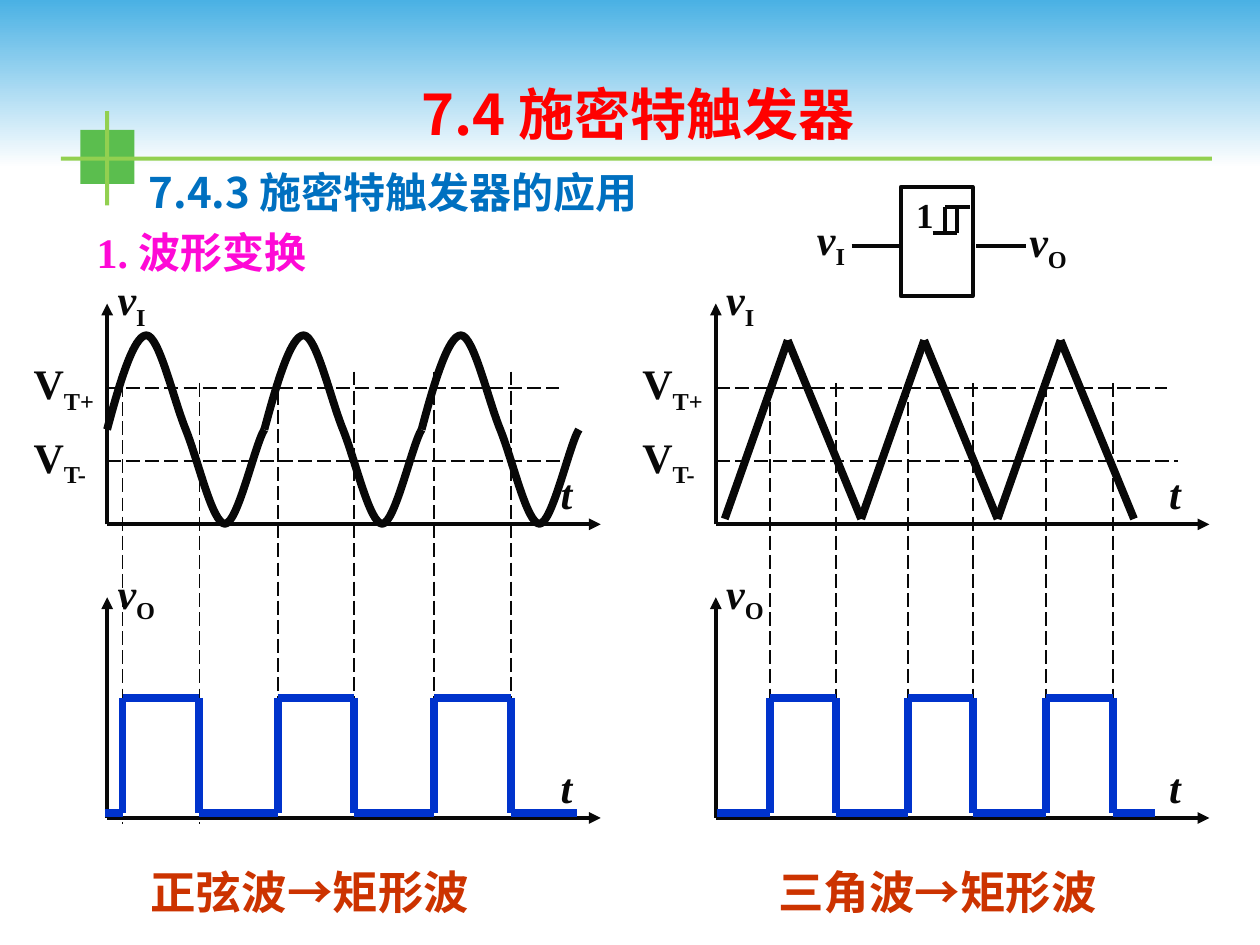
from dataclasses import dataclass
from itertools import pairwise

from lxml.etree import SubElement
from pptx import Presentation
from pptx.dml.color import RGBColor
from pptx.enum.dml import MSO_LINE
from pptx.enum.shapes import MSO_CONNECTOR as Connector, MSO_SHAPE as Shape
from pptx.enum.text import MSO_ANCHOR as Anchor, MSO_AUTO_SIZE as AutoSize, PP_ALIGN as Align
from pptx.oxml.ns import qn
from pptx.util import Cm, Pt


@dataclass(frozen=True)
class Theme:
    ink: str = "080808"
    pulse: str = "0033CC"
    sky: str = "4AB1E4"
    white: str = "FFFFFF"
    square: str = "5BBE4E"
    rule: str = "92D050"
    chapter: str = "FF0000"
    section: str = "0070C0"
    topic: str = "FE09D6"
    caption: str = "CC3300"
    serif: str = "Times New Roman"
    sans: str = "Noto Sans CJK SC"
    chapter_size: int = 32
    body_size: int = 24
    caption_size: int = 26
    gate_size: int = 20
    thin: float = 1
    medium: float = 2.25
    thick: float = 4.5


THEME = Theme()
LEFT_X, RIGHT_X = 2.16, 14.43
INPUT_BASE, OUTPUT_BASE = 10.57, 16.49
AXIS_WIDTH, AXIS_HEIGHT = 9.95, 4.45
PULSE_HIGH, PULSE_LOW = 14.07, 16.39
THRESHOLDS = (("T+", 7.82, 9.1), ("T-", 9.3, 9.32))

# One cycle as four cubic curves: (share of the period, share of the amplitude)
SINE_CYCLE = [
    (0, 0), (0.08, 0.5), (0.17, 1), (0.25, 1),
    (0.33, 1), (0.42, 0.33), (0.5, 0),
    (0.58, -0.33), (0.67, -1), (0.75, -1),
    (0.83, -1), (0.94, -0.16), (1, 0),
]


def rgb(color):
    return RGBColor.from_string(color)


def style_line(line, width, color=THEME.ink):
    line.color.rgb = rgb(color)
    line.width = Pt(width)


def add_stroke(slide, start, end, width=THEME.medium, color=THEME.ink, dashed=False, arrow=False):
    stroke = slide.shapes.add_connector(Connector.STRAIGHT, *map(Cm, (*start, *end)))
    style_line(stroke.line, width, color)
    if dashed:
        stroke.line.dash_style = MSO_LINE.LONG_DASH
    properties = stroke._element.spPr
    if arrow:
        SubElement(properties.find(qn("a:ln")), qn("a:tailEnd"), type="triangle")
    SubElement(properties, qn("a:effectLst"))


def add_path(slide, points, **style):
    """Join successive points with straight strokes."""
    for start, end in pairwise(points):
        add_stroke(slide, start, end, **style)


def add_block(slide, box, color=None):
    block = slide.shapes.add_shape(Shape.RECTANGLE, *map(Cm, box))
    block.shadow.inherit = False
    block.line.fill.background()
    if color:
        block.fill.solid()
        block.fill.fore_color.rgb = rgb(color)
    return block


def add_text(slide, box, text, size, color, font=THEME.serif, sub="", italic=False,
             wrap=False, align=Align.LEFT, anchor=Anchor.TOP, spacing=None):
    """Bold text with an optional upright subscript."""
    frame = slide.shapes.add_textbox(*map(Cm, box)).text_frame
    frame.word_wrap = wrap
    frame.auto_size = AutoSize.NONE if wrap else AutoSize.SHAPE_TO_FIT_TEXT
    frame.vertical_anchor = anchor
    line = frame.paragraphs[0]
    line.alignment = align
    if spacing:
        line.line_spacing = spacing
    line.font.name, line.font.size = font, Pt(size)
    line.font.bold, line.font.italic = True, italic
    line.font.color.rgb = rgb(color)
    SubElement(line.font._element, qn("a:ea"), typeface=THEME.sans)
    line.add_run().text = text
    if sub:
        index = line.add_run()
        index.text = sub
        index.font.italic = False
        index.font._element.set("baseline", "-25000")


def add_symbol(slide, left, top, letter, sub="", width=1.1, italic=True):
    add_text(slide, (left, top, width, 1.27), letter, THEME.body_size, THEME.ink,
             sub=sub, italic=italic)


def add_axes(slide, x, base, sub):
    top = base - AXIS_HEIGHT
    for tip in ((x, top), (x + AXIS_WIDTH, base)):
        add_stroke(slide, (x, base), tip, arrow=True)
    add_symbol(slide, x - 0.04, top - 0.73, "v", sub, 1.32 if sub == "O" else 1.1)
    add_symbol(slide, x + 8.89, base - 1.27, "t", width=0.74)


def add_thresholds(slide, x):
    for sub, y, length in THRESHOLDS:
        add_stroke(slide, (x, y), (x + length, y), THEME.thin, dashed=True)
        add_symbol(slide, x - 1.73, y - 0.73, "V", sub, 1.75, italic=False)


def bend(outline):
    """Turn each three straight segments into one cubic curve."""
    path = outline._element.find(".//" + qn("a:path"))
    segments = path.findall(qn("a:lnTo"))
    for first in range(0, len(segments), 3):
        curve = SubElement(path, qn("a:cubicBezTo"))
        for segment in segments[first:first + 3]:
            curve.append(segment[0])
            path.remove(segment)


def add_sine(slide, x, middle=8.66, period=3.17, amplitude=1.9, cycles=3):
    for cycle in range(cycles):
        points = [(Cm(x + period * (cycle + along)), Cm(middle - amplitude * up))
                  for along, up in SINE_CYCLE]
        builder = slide.shapes.build_freeform(*points[0], scale=1.0)
        builder.add_line_segments(points[1:], close=False)
        wave = builder.convert_to_shape()
        bend(wave)
        wave.shadow.inherit = False
        wave.fill.background()
        style_line(wave.line, THEME.thick)


def add_triangle_wave(slide, x, low=10.46, high=6.86, period=2.75, rise=1.27, cycles=3):
    points = [(x, low)]
    for cycle in range(cycles):
        start = x + period * cycle
        points += [(start + rise, high), (start + period, low)]
    add_path(slide, points, width=THEME.thick)


def add_pulses(slide, x, start, edges, end):
    """Square wave that changes level at each edge."""
    level, other = PULSE_LOW, PULSE_HIGH
    points = [(x + start, level)]
    for edge in edges:
        points += [(x + edge, level), (x + edge, other)]
        level, other = other, level
    points.append((x + end, level))
    add_path(slide, points, width=THEME.thick, color=THEME.pulse)


def add_guides(slide, x, edges, tops, length):
    for edge, top in zip(edges, tops):
        add_stroke(slide, (x + edge, top), (x + edge, top + length), THEME.thin, dashed=True)


def add_gate(slide):
    body = add_block(slide, (18.16, 3.77, 1.45, 2.2))
    body.fill.background()
    style_line(body.line, THEME.medium)
    low, high = 4.7, 4.17
    add_path(slide, [(18.8, low), (19.3, low), (19.3, high)])
    add_path(slide, [(19.05, low), (19.05, high), (19.56, high)])
    add_text(slide, (18.22, 3.77, 0.86, 1.09), "1", THEME.gate_size, THEME.ink)
    for lead in (17.17, 19.68):
        add_stroke(slide, (lead, 4.95), (lead + 1, 4.95))
    add_symbol(slide, 16.22, 4.17, "v", "I")
    add_symbol(slide, 20.5, 4.22, "v", "O", 1.32)


def add_header(slide):
    sky = add_block(slide, (0, 0, 25.4, 3.38))
    sky.fill.gradient()
    sky.fill.gradient_angle = 270
    for stop, color, position in zip(sky.fill.gradient_stops, (THEME.sky, THEME.white), (0, 1)):
        stop.color.rgb, stop.position = rgb(color), position
    add_block(slide, (1.62, 2.62, 1.09, 1.09), THEME.square)
    add_block(slide, (2.12, 2.24, 0.08, 1.9), THEME.rule)
    add_block(slide, (1.23, 3.16, 23.2, 0.08), THEME.rule)
    add_block(slide, (-0.05, 16.71, 25.53, 2.57), THEME.white)
    add_text(slide, (1.7, 4.23, 6.73, 1.55), "1. 波形变换", THEME.body_size, THEME.topic,
             wrap=True, spacing=1.2)
    add_text(slide, (8.25, 1.47, 10.41, 1.63), "7.4 施密特触发器", THEME.chapter_size,
             THEME.chapter, THEME.sans, wrap=True)
    add_text(slide, (2.75, 2.88, 19.28, 1.96), "7.4.3 施密特触发器的应用", THEME.body_size,
             THEME.section, THEME.sans, wrap=True, anchor=Anchor.MIDDLE)


def add_panel(slide, x, add_wave, wave_x, start, edges, end, guide_tops, guide_length):
    add_axes(slide, x, INPUT_BASE, "I")
    add_axes(slide, x, OUTPUT_BASE, "O")
    add_wave(slide, wave_x)
    add_thresholds(slide, x)
    add_guides(slide, x, edges, guide_tops, guide_length)
    add_pulses(slide, x, start, edges, end)


def main():
    deck = Presentation()
    deck.slide_width, deck.slide_height = Cm(25.4), Cm(19.05)
    slide = deck.slides.add_slide(deck.slide_layouts[6])
    add_header(slide)
    add_panel(slide, LEFT_X, add_sine, LEFT_X, -0.05, (0.31, 1.86, 3.44, 4.97, 6.59, 8.14), 9.48,
              [7.72] * 2 + [7.49] * 4, 8.89)
    add_panel(slide, RIGHT_X, add_triangle_wave, RIGHT_X + 0.18, 0.03,
              (1.09, 2.43, 3.87, 5.19, 6.66, 8), 8.86, [7.72] * 6, 8.66)
    for left, width, wave in ((1.69, 9.12, "正弦波"), (13.9, 10.01, "三角波")):
        add_text(slide, (left, 17.3, width, 1.35), f"{wave}→矩形波", THEME.caption_size,
                 THEME.caption, wrap=True, align=Align.CENTER)
    add_gate(slide)
    deck.save("out.pptx")


if __name__ == "__main__":
    main()
